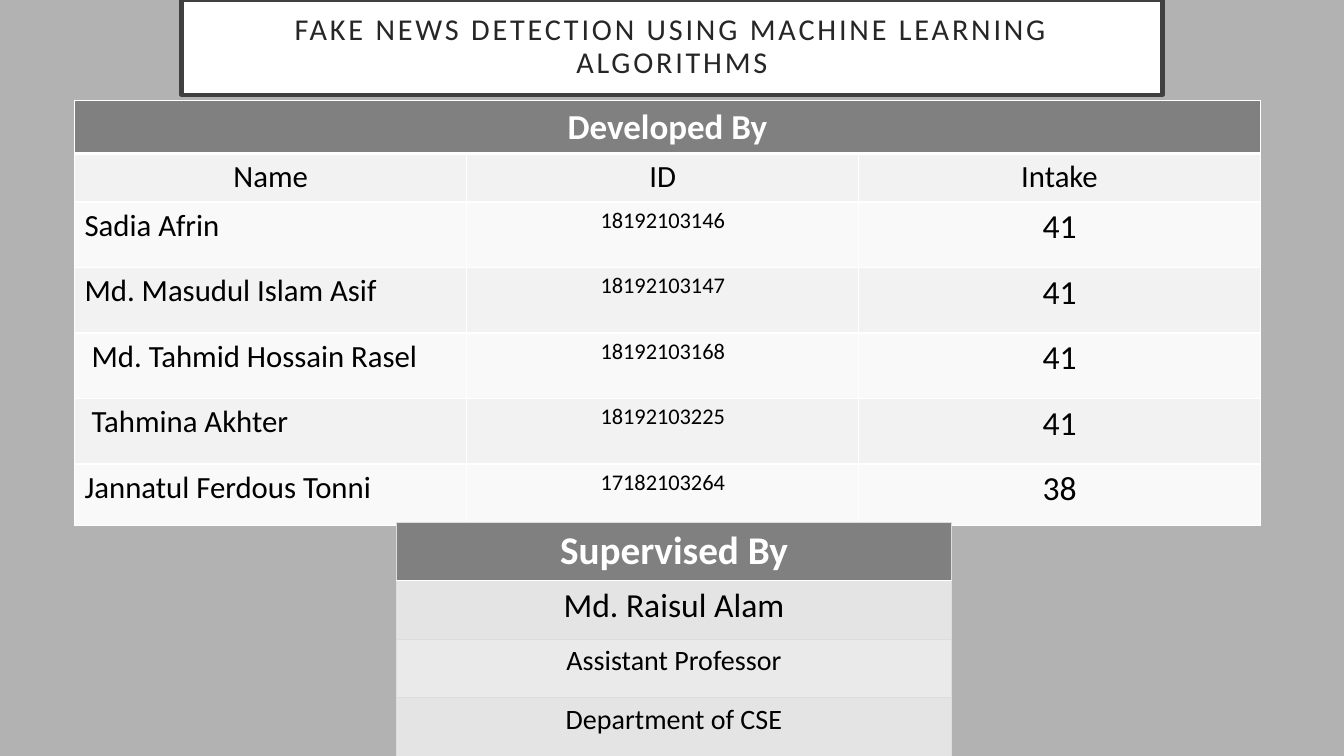
from dataclasses import dataclass

from lxml.etree import SubElement
from pptx import Presentation
from pptx.dml.color import RGBColor
from pptx.enum.text import MSO_ANCHOR, MSO_AUTO_SIZE, PP_ALIGN
from pptx.oxml.ns import qn
from pptx.util import Inches, Pt

SLIDE_WIDTH = Inches(13.33)
SLIDE_HEIGHT = Inches(7.5)
FONT = "Calibri"
COLOURS = {
    "backdrop": "B2B2B2",
    "white": "FFFFFF",
    "frame": "404040",
    "heading": "262626",
    "header": "808080",
    "text": "000000",
    "band": "F2F2F2",
    "light band": "F9F9F9",
    "rule": "DDDDDD",
    "post band": "E4E4E4",
    "light post band": "EAEAEA",
}


@dataclass(frozen=True)
class Entry:
    text: str
    size: float
    centred: bool = True
    inset: float = 0.75


@dataclass(frozen=True)
class Panel:
    left: float
    top: float
    columns: list[float]
    rows: list[float]
    header: Entry
    body: list[list[Entry]]
    bands: tuple[str, str]
    rule: str
    rule_width: float
    header_rule_width: float


@dataclass(frozen=True)
class Student:
    name: str
    number: str
    intake: str
    inset: float = 0.75


def across(percent: float) -> int:
    return round(SLIDE_WIDTH * percent / 100)


def down(percent: float) -> int:
    return round(SLIDE_HEIGHT * percent / 100)


def colour(name: str) -> RGBColor:
    return RGBColor.from_string(COLOURS[name])


def write(frame, text: str, *, size: float, ink: str = "text", bold: bool = False,
          centred: bool = True, line_spacing: float = 1.0, tracking: float = 0) -> None:
    paragraph = frame.paragraphs[0]
    paragraph.alignment = PP_ALIGN.CENTER if centred else PP_ALIGN.LEFT
    paragraph.line_spacing = line_spacing
    run = paragraph.add_run()
    run.text = text
    run.font.name = FONT
    run.font.size = Pt(size)
    run.font.bold = bold
    run.font.color.rgb = colour(ink)
    if tracking:
        run.font._element.set("spc", str(round(tracking * 100)))


def rule_cell(cell, edges: dict[str, tuple[str, float]]) -> None:
    properties = cell._tc.get_or_add_tcPr()
    for edge, (ink, width) in edges.items():
        line = SubElement(properties, qn(f"a:ln{edge}"), w=str(Pt(width)))
        fill = SubElement(line, qn("a:solidFill"))
        SubElement(fill, qn("a:srgbClr"), val=COLOURS[ink])


def draw_panel(slide, panel: Panel) -> None:
    table = slide.shapes.add_table(
        len(panel.rows), len(panel.columns), across(panel.left), down(panel.top),
        across(sum(panel.columns)), down(sum(panel.rows))).table
    table.first_row = table.horz_banding = False
    for column, share in zip(table.columns, panel.columns):
        column.width = across(share)
    for row, share in zip(table.rows, panel.rows):
        row.height = down(share)

    plain = (panel.rule, panel.rule_width)
    under_header = ("white", panel.header_rule_width)
    for row_index, row in enumerate(table.rows):
        fill = "header" if row_index == 0 else panel.bands[(row_index - 1) % 2]
        for cell in row.cells:
            rule_cell(cell, {
                "L": plain,
                "R": plain,
                "T": under_header if row_index == 1 else plain,
                "B": under_header if row_index == 0 else plain,
            })
            cell.fill.solid()
            cell.fill.fore_color.rgb = colour(fill)

    header_cell = table.cell(0, 0)
    if len(panel.columns) > 1:
        header_cell.merge(table.cell(0, len(panel.columns) - 1))
    write(header_cell.text_frame, panel.header.text, size=panel.header.size,
          ink="white", bold=True)
    for row_index, entries in enumerate(panel.body, start=1):
        for column_index, entry in enumerate(entries):
            cell = table.cell(row_index, column_index)
            cell.margin_left = across(entry.inset)
            write(cell.text_frame, entry.text, size=entry.size, centred=entry.centred)


def draw_title(slide, text: str) -> None:
    title = slide.shapes.title
    title.left, title.top = across(13.5), 0
    title.width, title.height = across(73), down(12.53)
    title.fill.solid()
    title.fill.fore_color.rgb = colour("white")
    title.line.color.rgb = colour("frame")
    title.line.width = Pt(3)
    frame = title.text_frame
    frame.word_wrap = True
    frame.auto_size = MSO_AUTO_SIZE.NONE
    frame.vertical_anchor = MSO_ANCHOR.MIDDLE
    frame.margin_left = frame.margin_right = across(2.25)
    frame.margin_top = frame.margin_bottom = down(2.67)
    write(frame, text, size=21.6, ink="heading", line_spacing=0.9, tracking=2)


STUDENTS = [
    Student("Sadia Afrin", "18192103146", "41"),
    Student("Md. Masudul Islam Asif", "18192103147", "41"),
    Student("Md. Tahmid Hossain Rasel", "18192103168", "41", inset=1.27),
    Student("Tahmina Akhter", "18192103225", "41", inset=1.27),
    Student("Jannatul Ferdous Tonni", "17182103264", "38"),
]

DEVELOPERS = Panel(
    left=5.55, top=13.33,
    columns=[29.18, 29.18, 29.86],
    rows=[6.93, 6.4] + [8.67] * 4 + [8.13],
    header=Entry("Developed By", 25),
    body=[[Entry(label, 22) for label in ("Name", "ID", "Intake")]] + [
        [Entry(student.name, 22, centred=False, inset=student.inset),
         Entry(student.number, 16),
         Entry(student.intake, 24)]
        for student in STUDENTS
    ],
    bands=("band", "light band"),
    rule="white", rule_width=1, header_rule_width=3,
)

SUPERVISOR = Panel(
    left=29.48, top=69.07,
    columns=[41.34],
    rows=[7.73] * 4,
    header=Entry("Supervised By", 28),
    body=[
        [Entry("Md. Raisul Alam", 24)],
        [Entry("Assistant Professor", 20)],
        [Entry("Department of CSE", 20)],
    ],
    bands=("post band", "light post band"),
    rule="rule", rule_width=0.5, header_rule_width=1,
)


def main() -> None:
    deck = Presentation()
    deck.slide_width, deck.slide_height = SLIDE_WIDTH, SLIDE_HEIGHT
    slide = deck.slides.add_slide(deck.slide_layouts.get_by_name("Title Only"))
    slide.background.fill.solid()
    slide.background.fill.fore_color.rgb = colour("backdrop")
    draw_title(slide, "FAKE NEWS DETECTION USING MACHINE LEARNING ALGORITHMS")
    for panel in (DEVELOPERS, SUPERVISOR):
        draw_panel(slide, panel)
    deck.save("out.pptx")


if __name__ == "__main__":
    main()
